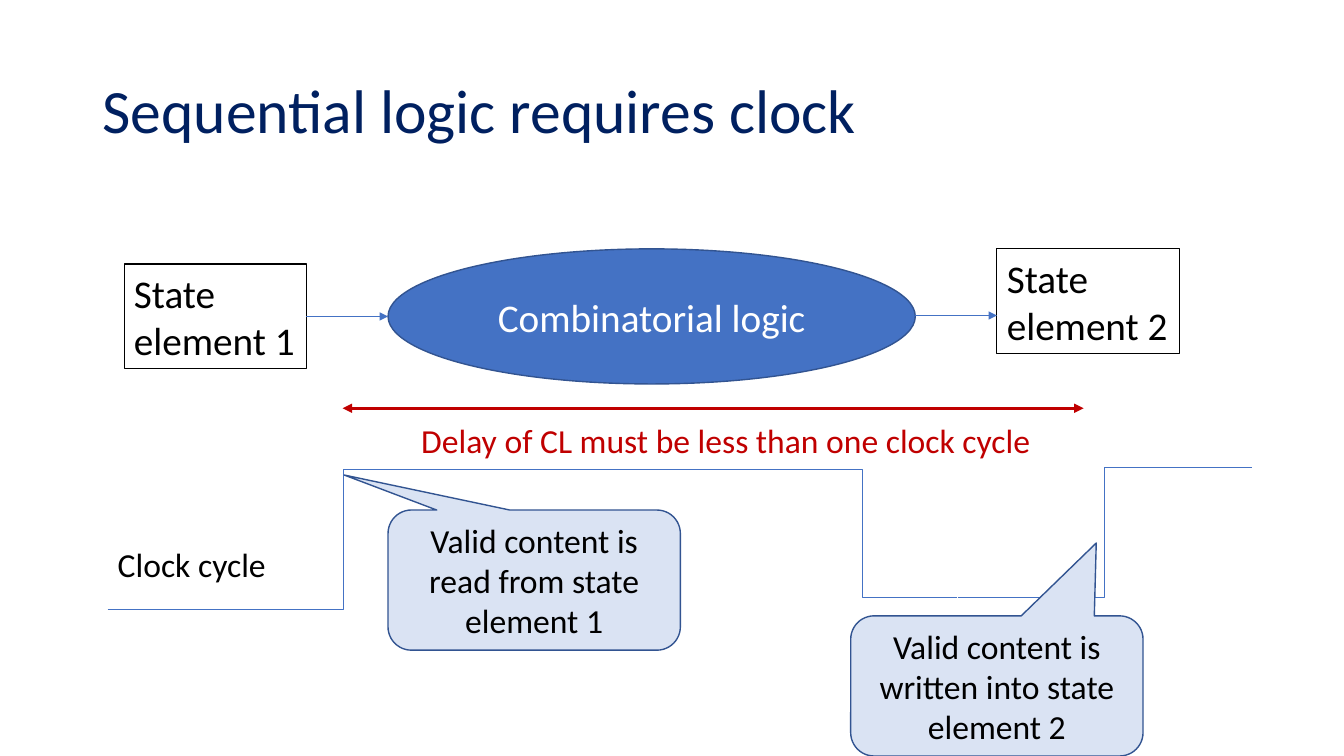
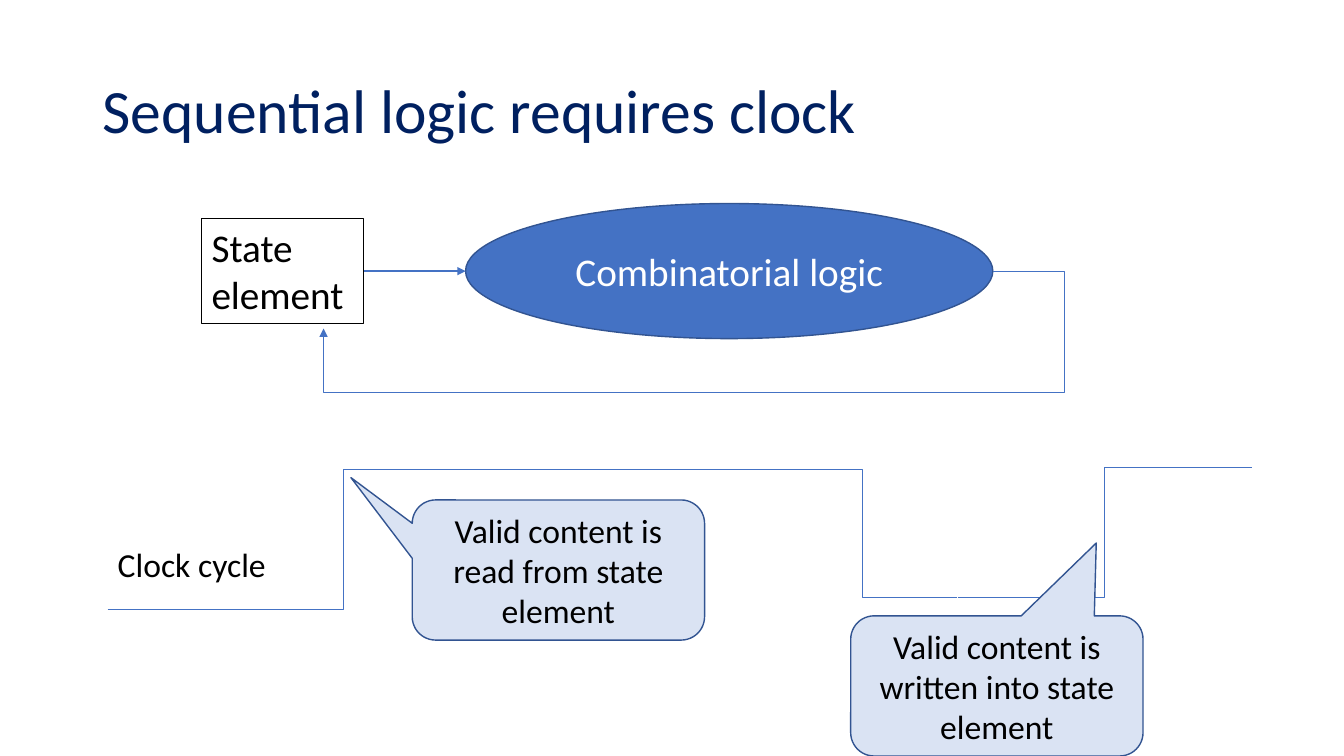
from dataclasses import dataclass

from lxml import etree
from pptx import Presentation
from pptx.dml.color import RGBColor
from pptx.enum.shapes import MSO_CONNECTOR as Link, MSO_SHAPE as Preset
from pptx.enum.text import MSO_ANCHOR as Anchor, MSO_AUTO_SIZE as AutoSize, PP_ALIGN as Align
from pptx.oxml.ns import qn
from pptx.util import Pt

FONT = "Calibri"
NAVY, BLUE, EDGE, PALE = "002060", "4472C4", "325491", "DAE3F3"
RED, BLACK, WHITE = "C00000", "000000", "FFFFFF"

LOGIC_W, LOGIC_H = 376.6, 96.5
CALLOUT_W, CALLOUT_H = 208.8, 100.1
STATE_H, LABEL_H = 74.9, 36


@dataclass(frozen=True)
class Point:
    x: float
    y: float


@dataclass(frozen=True)
class State:
    text: str
    corner: Point
    width: float


@dataclass(frozen=True)
class Callout:
    text: str
    corner: Point
    tip: tuple[float, float]


@dataclass(frozen=True)
class ClockEdge:
    start: Point
    end: Point
    bend: float = 0.5


CLOCK = (
    ClockEdge(Point(77, 435.6), Point(413.3, 335.5)),
    ClockEdge(Point(413.3, 335.5), Point(683.3, 427), bend=0.75),
    ClockEdge(Point(684, 427), Point(894.2, 334.1)),
)
WRITE_CORNER, WRITE_TIP = Point(607.7, 439.9), (0.34, -1.02)


def color(value: str) -> RGBColor:
    return RGBColor.from_string(value)


def style_text(frame, size: float, ink: str, align=Align.LEFT) -> None:
    for paragraph in frame.paragraphs:
        paragraph.alignment = align
        for run in paragraph.runs:
            run.font.name = FONT
            run.font.size = Pt(size)
            run.font.color.rgb = color(ink)


def style_line(line, ink: str, width: float, head: bool = False, tail: bool = False) -> None:
    line.color.rgb = color(ink)
    line.width = Pt(width)
    for tag, wanted in (("a:headEnd", head), ("a:tailEnd", tail)):
        if wanted:
            etree.SubElement(line._get_or_add_ln(), qn(tag), type="triangle")


def add_link(slide, start: Point, end: Point, ink: str = BLUE, width: float = 1,
             kind=Link.STRAIGHT, head: bool = False, tail: bool = False):
    link = slide.shapes.add_connector(kind, Pt(start.x), Pt(start.y), Pt(end.x), Pt(end.y))
    style_line(link.line, ink, width, head, tail)
    etree.SubElement(link._element.spPr, qn("a:effectLst"))
    return link


def add_panel(slide, preset, corner: Point, width: float, height: float,
              text: str, size: float, fill: str, ink: str):
    panel = slide.shapes.add_shape(preset, Pt(corner.x), Pt(corner.y), Pt(width), Pt(height))
    panel.shadow.inherit = False
    panel.fill.solid()
    panel.fill.fore_color.rgb = color(fill)
    style_line(panel.line, EDGE, 1)
    panel.text_frame.text = text
    panel.text_frame.word_wrap = True
    panel.text_frame.vertical_anchor = Anchor.MIDDLE
    style_text(panel.text_frame, size, ink, Align.CENTER)
    return panel


def add_label(slide, text: str, corner: Point, width: float, height: float = LABEL_H,
              size: float = 24, ink: str = BLACK):
    label = slide.shapes.add_textbox(Pt(corner.x), Pt(corner.y), Pt(width), Pt(height))
    label.text_frame.text = text
    label.text_frame.word_wrap = False
    label.text_frame.auto_size = AutoSize.SHAPE_TO_FIT_TEXT
    style_text(label.text_frame, size, ink)
    return label


def add_state(slide, state: State):
    box = add_label(slide, state.text, state.corner, state.width, STATE_H, size=28)
    style_line(box.line, BLACK, 0.75)
    return box


def add_logic(slide, corner: Point) -> None:
    add_panel(slide, Preset.OVAL, corner, LOGIC_W, LOGIC_H,
              "Combinatorial logic", 28, BLUE, WHITE)


def add_read_path(slide, state: State, logic: Point) -> None:
    """Draw a state element, the logic and the arrow between them."""
    add_logic(slide, logic)
    box = add_state(slide, state)
    middle = logic.y + LOGIC_H / 2
    arrow = add_link(slide, Point(state.corner.x + state.width, middle),
                     Point(logic.x, middle), tail=True)
    arrow.begin_connect(box, 3)


def add_clock(slide) -> None:
    for edge in CLOCK:
        link = add_link(slide, edge.start, edge.end, width=0.5, kind=Link.ELBOW)
        if edge.bend != 0.5:
            guides = link._element.spPr.find(qn("a:prstGeom")).find(qn("a:avLst"))
            etree.SubElement(guides, qn("a:gd"), name="adj1",
                             fmla=f"val {round(edge.bend * 100000)}")
    add_label(slide, "Clock cycle", Point(77, 385.2), 121)


def add_callout(slide, callout: Callout) -> None:
    bubble = add_panel(slide, Preset.ROUNDED_RECTANGULAR_CALLOUT, callout.corner,
                       CALLOUT_W, CALLOUT_H, callout.text, 24, PALE, BLACK)
    bubble.adjustments[0], bubble.adjustments[1] = callout.tip


def add_feedback(slide, route: list[Point]) -> None:
    start, *turns = route
    builder = slide.shapes.build_freeform(Pt(start.x), Pt(start.y))
    builder.add_line_segments([(Pt(turn.x), Pt(turn.y)) for turn in turns], close=False)
    feedback = builder.convert_to_shape()
    feedback.shadow.inherit = False
    feedback.fill.background()
    style_line(feedback.line, BLUE, 0.5, tail=True)


def add_titled_slide(deck):
    slide = deck.slides.add_slide(deck.slide_layouts[5])
    title = slide.shapes.title
    title.left, title.top, title.width, title.height = Pt(66), Pt(28.8), Pt(828), Pt(104.4)
    title.text_frame.text = "Sequential logic requires clock"
    title.text_frame.vertical_anchor = Anchor.MIDDLE
    title.text_frame.paragraphs[0].line_spacing = 0.9
    style_text(title.text_frame, 44, NAVY)
    return slide


def build_two_state_slide(deck) -> None:
    slide = add_titled_slide(deck)

    # Data path from one state element to the next
    logic = Point(277.2, 177.8)
    target = State("State\nelement 2", Point(712.1, 177.8), 130.3)
    add_read_path(slide, State("State\nelement 1", Point(88.6, 188.6), 130.3), logic)
    add_state(slide, target)
    add_link(slide, Point(logic.x + LOGIC_W, 225.4), Point(target.corner.x, 225.4), tail=True)

    # Clock signal with its read and write moments
    add_clock(slide)
    add_callout(slide, Callout("Valid content is read from state element 1",
                               Point(277.2, 364.3), (-0.65, -0.75)))
    add_callout(slide, Callout("Valid content is written into state element 2",
                               WRITE_CORNER, WRITE_TIP))

    # Delay limit
    add_link(slide, Point(244.8, 291.6), Point(774, 291.6), RED, 2.25, head=True, tail=True)
    add_label(slide, "Delay of CL must be less than one clock cycle",
              Point(293.8, 296.6), 453.6, ink=RED)


def build_feedback_slide(deck) -> None:
    slide = add_titled_slide(deck)

    # Data path that returns to the same state element
    logic = Point(332.6, 145.4)
    add_read_path(slide, State("State\nelement", Point(144, 156.2), 115.9), logic)

    # Clock signal with its read and write moments
    add_clock(slide)
    add_callout(slide, Callout("Valid content is read from state element",
                               Point(294.5, 357.1), (-0.71, -0.66)))
    add_callout(slide, Callout("Valid content is written into state element",
                               WRITE_CORNER, WRITE_TIP))

    # Feedback from the logic
    middle, right, bottom, left = logic.y + LOGIC_H / 2, 760.3, 280.4, 231.1
    add_feedback(slide, [Point(logic.x + LOGIC_W, middle), Point(right, middle),
                         Point(right, bottom), Point(left, bottom), Point(left, 234.7)])


def main() -> None:
    deck = Presentation()
    deck.slide_width, deck.slide_height = Pt(960), Pt(540)
    build_two_state_slide(deck)
    build_feedback_slide(deck)
    deck.save("out.pptx")


if __name__ == "__main__":
    main()
